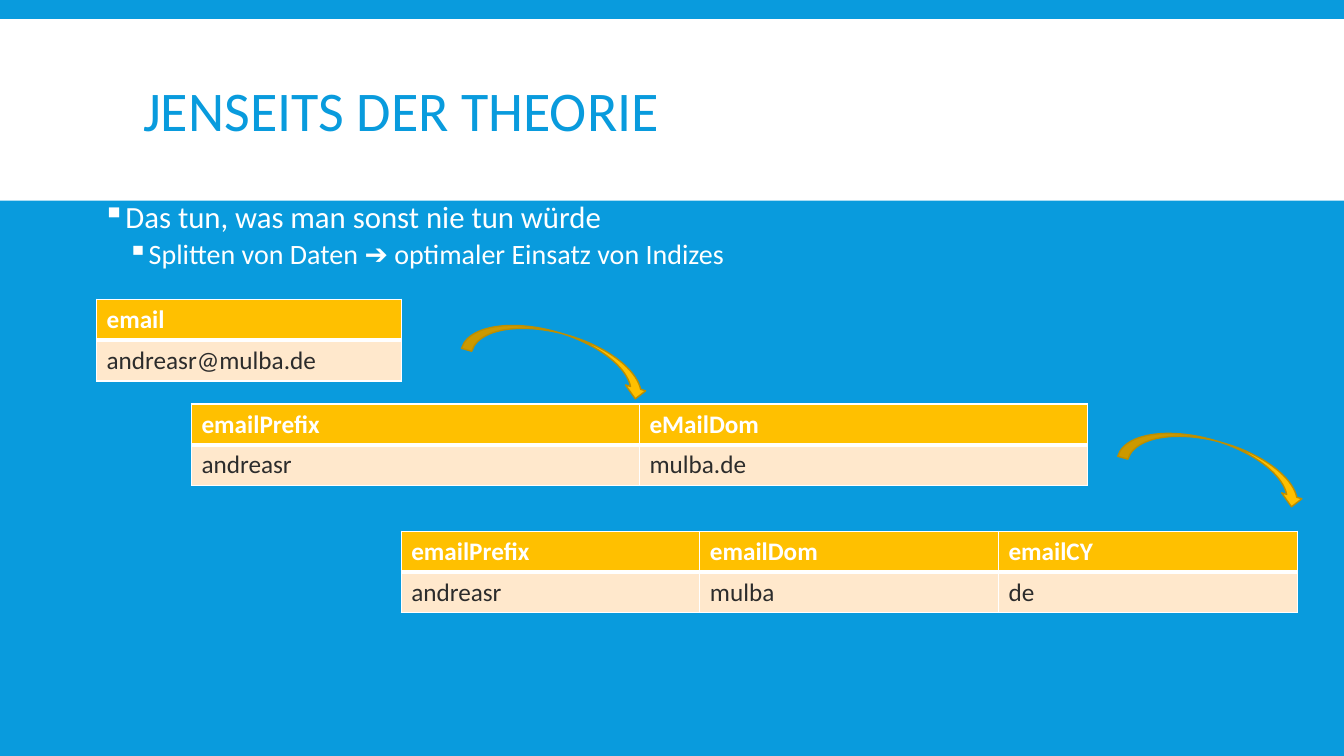
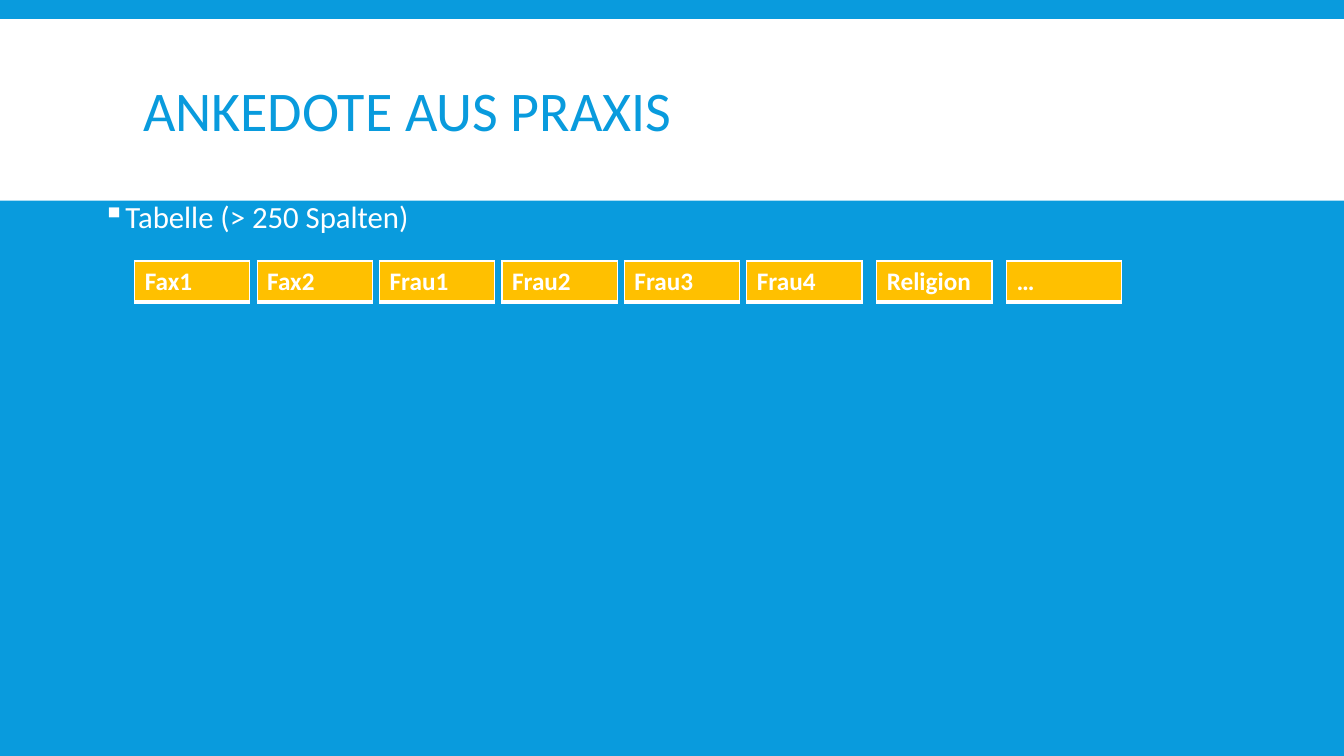
from dataclasses import dataclass
from lxml.etree import SubElement as Sub
from pptx import Presentation
from pptx.dml.color import RGBColor as RGB
from pptx.enum.shapes import MSO_SHAPE as Shape
from pptx.enum.text import MSO_ANCHOR as Anchor, MSO_AUTO_SIZE as Fit, PP_ALIGN as Align
from pptx.oxml.ns import qn
from pptx.util import Pt


@dataclass(frozen=True)
class Theme:
    font: str = "Calibri"
    blue: str = "099BDD"
    white: str = "FFFFFF"
    gold: str = "FFC000"
    edge: str = "BD8E00"
    cream: str = "FFE8CC"
    dark: str = "2C2C2C"
    head: int = 40
    points: tuple = (22, 20)
    cell: int = 18


T = Theme()
WIDE, HIGH = 960, 540
ROW = 29.2
BAND = (0, 13.7, WIDE, 129.6)
TITLE = (95, 22.3, 770.4, 118.8)
BODY = (66.2, 140.6, 828, 342.7)
# Per level: left margin, space before, space after
LEVELS = ((14.4, 12, 2), (32.4, 2, 4))
HANG = 14.4


def paint(fill, tint):
    fill.solid()
    fill.fore_color.rgb = RGB.from_string(tint)


def style(para, size, tint, bold=False):
    for run in para.runs:
        font = run.font
        font.name, font.size, font.bold = T.font, Pt(size), bold
        font.color.rgb = RGB.from_string(tint)


def start(deck, text):
    """Add a slide with the white band and its title."""
    slide = deck.slides.add_slide(deck.slide_layouts[5])
    title = slide.shapes.title
    band = slide.shapes.add_shape(Shape.RECTANGLE, *map(Pt, BAND))
    band.shadow.inherit = False
    paint(band.fill, T.white)
    band.line.fill.background()
    title._element.addprevious(band._element)

    title.left, title.top, title.width, title.height = map(Pt, TITLE)
    frame = title.text_frame
    frame.text = text
    frame.auto_size = Fit.NONE
    frame.vertical_anchor = Anchor.MIDDLE
    para = frame.paragraphs[0]
    para.alignment, para.line_spacing = Align.LEFT, 0.85
    style(para, T.head, T.blue)
    return slide


def bullet(para, left):
    props = para._p.get_or_add_pPr()
    props.set("marL", str(Pt(left)))
    props.set("indent", str(-Pt(HANG)))
    Sub(Sub(props, qn("a:buClr")), qn("a:srgbClr")).set("val", T.white)
    Sub(props, qn("a:buChar")).set("char", "▪")


def points(slide, box, lines, align):
    """Write one bullet per line, each a level below the last."""
    frame = slide.shapes.add_textbox(*map(Pt, box)).text_frame
    frame.word_wrap = True
    frame.text = "\n".join(lines)
    for level, para in enumerate(frame.paragraphs):
        left, above, below = LEVELS[level]
        para.level, para.alignment = level, align
        para.line_spacing = 0.9
        para.space_before, para.space_after = Pt(above), Pt(below)
        bullet(para, left)
        style(para, T.points[level], T.white)


def border(cell, top, bottom):
    props = cell._tc.get_or_add_tcPr()
    sides = (("lnL", 1), ("lnR", 1), ("lnT", top), ("lnB", bottom))
    for spot, (side, width) in enumerate(sides):
        line = props.makeelement(qn("a:" + side), {"w": str(Pt(width))})
        fill = Sub(line, qn("a:solidFill"))
        Sub(fill, qn("a:srgbClr")).set("val", T.white)
        props.insert(spot, line)


def table(slide, left, top, width, rows):
    """Draw a gold header row and cream rows below it."""
    count = len(rows[0])
    grid = slide.shapes.add_table(len(rows), count, Pt(left), Pt(top),
                                  Pt(width), Pt(ROW * len(rows))).table
    grid.horz_banding = False
    for col in grid.columns:
        col.width = Pt(width / count)
    for r, texts in enumerate(rows):
        grid.rows[r].height = Pt(ROW)
        head = r == 0
        for c, text in enumerate(texts):
            cell = grid.cell(r, c)
            cell.text_frame.text = text
            style(cell.text_frame.paragraphs[0], T.cell,
                  T.white if head else T.dark, head)
            paint(cell.fill, T.gold if head else T.cream)
            border(cell, 3 if r == 1 else 1, 3 if head else 1)


def arrow(slide, left, top):
    bow = slide.shapes.add_shape(Shape.CURVED_DOWN_ARROW, Pt(left), Pt(top),
                                 Pt(136.8), Pt(30.2))
    bow.shadow.inherit = False
    bow.rotation = 16.2
    paint(bow.fill, T.gold)
    paint(bow.line.fill, T.edge)
    bow.line.width = Pt(1)


def theory(deck):
    slide = start(deck, "JENSEITS DER THEORIE")
    points(slide, BODY, ("Das tun, was man sonst nie tun würde",
                         "Splitten von Daten ➔ optimaler Einsatz von Indizes"),
           Align.JUSTIFY)
    table(slide, 69, 213.8, 218, (("email",), ("andreasr@mulba.de",)))
    table(slide, 136.8, 288.6, 640,
          (("emailPrefix", "eMailDom"), ("andreasr", "mulba.de")))
    table(slide, 286.6, 379.4, 640,
          (("emailPrefix", "emailDom", "emailCY"), ("andreasr", "mulba", "de")))
    arrow(slide, 331.2, 238.3)
    arrow(slide, 799.9, 315.4)


def story(deck):
    slide = start(deck, "ANKEDOTE AUS PRAXIS")
    points(slide, BODY, ("Tabelle (> 250 Spalten)",), Align.LEFT)
    names = ("Fax1", "Fax2", "Frau1", "Frau2", "Frau3", "Frau4", "Religion", "…")
    left, width = 96.2, 82.3
    for spot, name in enumerate(names):
        table(slide, left, 186.4, width, ((name,),))
        left += width + (5.15 if spot < 5 else 10.5)


def main():
    deck = Presentation()
    deck.slide_width, deck.slide_height = Pt(WIDE), Pt(HIGH)
    paint(deck.slide_master.background.fill, T.blue)
    theory(deck)
    story(deck)
    deck.save("out.pptx")


if __name__ == "__main__":
    main()
